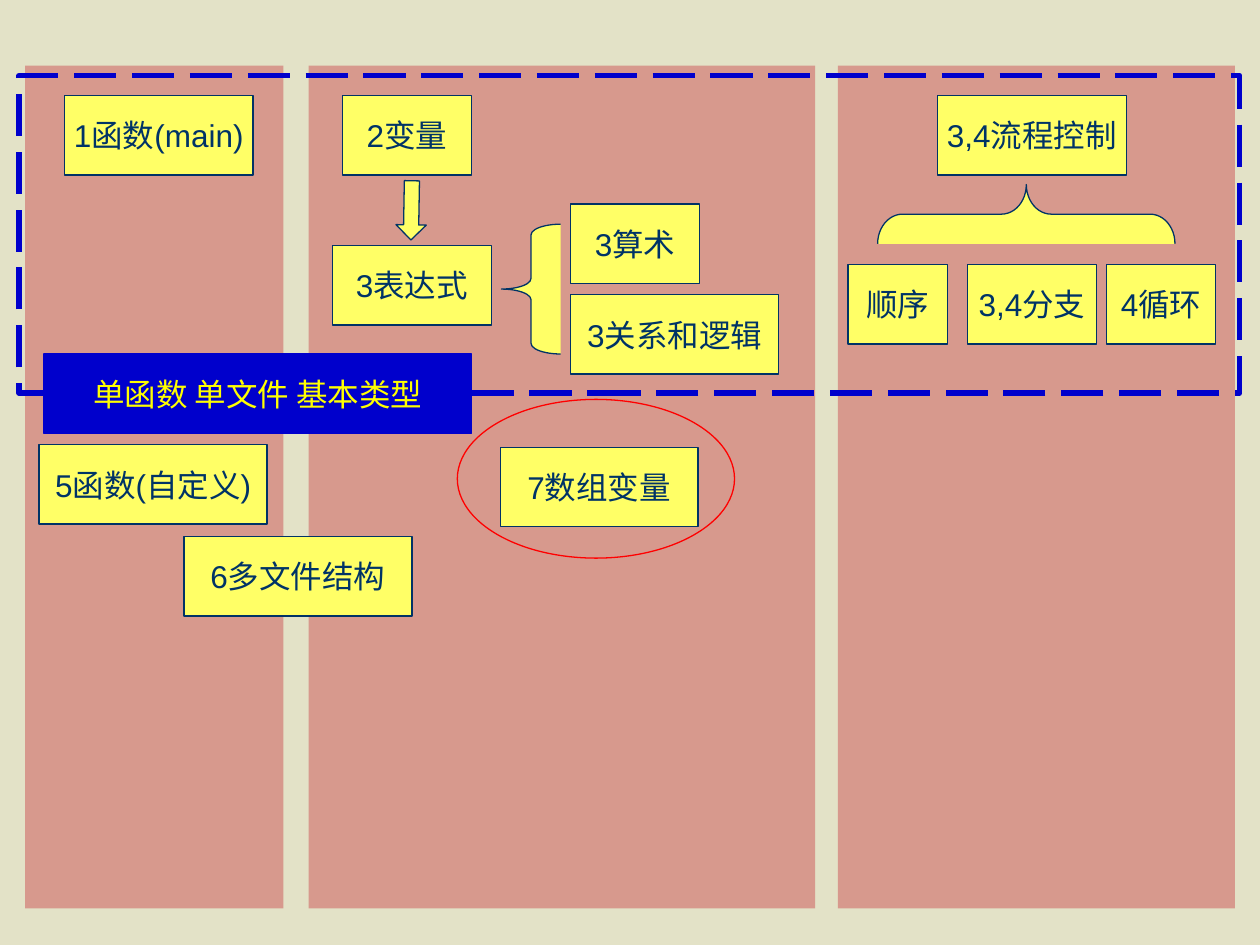
from typing import NamedTuple, Optional

from pptx import Presentation
from pptx import util as u
from pptx.dml.color import RGBColor
from pptx.enum import dml, shapes, text

YELLOW, NAVY, BLUE = "FFFF66", "003366", "0000CC"
KIND = shapes.MSO_SHAPE
BOX_H = 0.63
TOP_Y, FLOW_Y = 0.76, 2.1


class Item(NamedTuple):
    x: float
    y: float
    w: float
    h: float = BOX_H
    label: str = ""
    kind: KIND = KIND.RECTANGLE
    fill: Optional[str] = YELLOW
    line: Optional[str] = NAVY
    color: str = NAVY
    width: float = 0.75
    dash: Optional[dml.MSO_LINE] = None
    rotation: float = 0
    adjust: tuple = ()


FRAME_FORMAT = {
    "word_wrap": False,
    "vertical_anchor": text.MSO_ANCHOR.MIDDLE,
}
FONT_FORMAT = {"name": "Arial", "size": u.Pt(18)}


def paint(target, color: str) -> None:
    target.rgb = RGBColor.from_string(color)


def apply(target, values: dict) -> None:
    for name, value in values.items():
        setattr(target, name, value)


def write_label(sp, item: Item) -> None:
    tf = sp.text_frame
    apply(tf, FRAME_FORMAT)
    p = tf.paragraphs[0]
    p.alignment = text.PP_ALIGN.CENTER
    r = p.add_run()
    r.text = item.label
    apply(r.font, FONT_FORMAT)
    paint(r.font.color, item.color)


def draw(s, item: Item) -> None:
    sp = s.shapes.add_shape(item.kind, *map(u.Inches, item[:4]))
    sp.shadow.inherit = False
    sp.rotation = item.rotation
    for i, value in enumerate(item.adjust):
        sp.adjustments[i] = value
    if item.fill:
        sp.fill.solid()
        paint(sp.fill.fore_color, item.fill)
    else:
        sp.fill.background()
    if item.line:
        paint(sp.line.color, item.line)
        sp.line.width = u.Pt(item.width)
        if item.dash:
            sp.line.dash_style = item.dash
    else:
        sp.line.fill.background()
    if item.label:
        write_label(sp, item)


COLUMNS = [
    Item(x, 0.52, w, 6.69, fill="D7998D", line=None)
    for x, w in ((0.2, 2.05), (2.45, 4.02), (6.65, 3.15))
]

TOPICS = [
    Item(0.51, TOP_Y, 1.5, label="1函数(main)"),
    Item(2.72, TOP_Y, 1.02, label="2变量"),
    Item(2.64, 1.95, 1.26, label="3表达式"),
    Item(3.03, 1.55, 0.47, 0.24, kind=KIND.RIGHT_ARROW, rotation=91,
         adjust=(0.5, 0.5)),
    Item(4.53, 1.62, 1.02, label="3算术"),
    Item(4.53, 2.34, 1.65, label="3关系和逻辑"),
    Item(3.98, 1.78, 0.47, 1.03, kind=KIND.LEFT_BRACE, adjust=(0.18, 0.5)),
    Item(7.44, TOP_Y, 1.5, label="3,4流程控制"),
    Item(7.91, 0.52, 0.47, 2.36, kind=KIND.LEFT_BRACE, rotation=90,
         adjust=(0.42, 0.5)),
    Item(6.73, FLOW_Y, 0.79, label="顺序"),
    Item(7.68, FLOW_Y, 1.02, label="3,4分支"),
    Item(8.78, FLOW_Y, 0.87, label="4循环"),
    Item(0.31, 3.53, 1.81, label="5函数(自定义)"),
    Item(0.15, 0.6, 9.69, 2.52, fill=None, line=BLUE, width=3,
         dash=dml.MSO_LINE.LONG_DASH),
    Item(1.46, 4.26, 1.81, label="6多文件结构"),
    Item(3.63, 3.17, 2.2, 1.26, kind=KIND.OVAL, fill=None, line="FF0000"),
    Item(0.35, 2.81, 3.39, label="单函数 单文件 基本类型", fill=BLUE,
         line=BLUE, color="FFFF00"),
    Item(3.97, 3.55, 1.57, label="7数组变量"),
]


def main() -> None:
    prs = Presentation()
    prs.slide_width, prs.slide_height = u.Inches(10), u.Inches(7.5)
    s = prs.slides.add_slide(prs.slide_layouts[6])
    s.background.fill.solid()
    paint(s.background.fill.fore_color, "E3E2C7")
    for item in COLUMNS + TOPICS:
        draw(s, item)
    prs.save("out.pptx")


if __name__ == "__main__":
    main()
